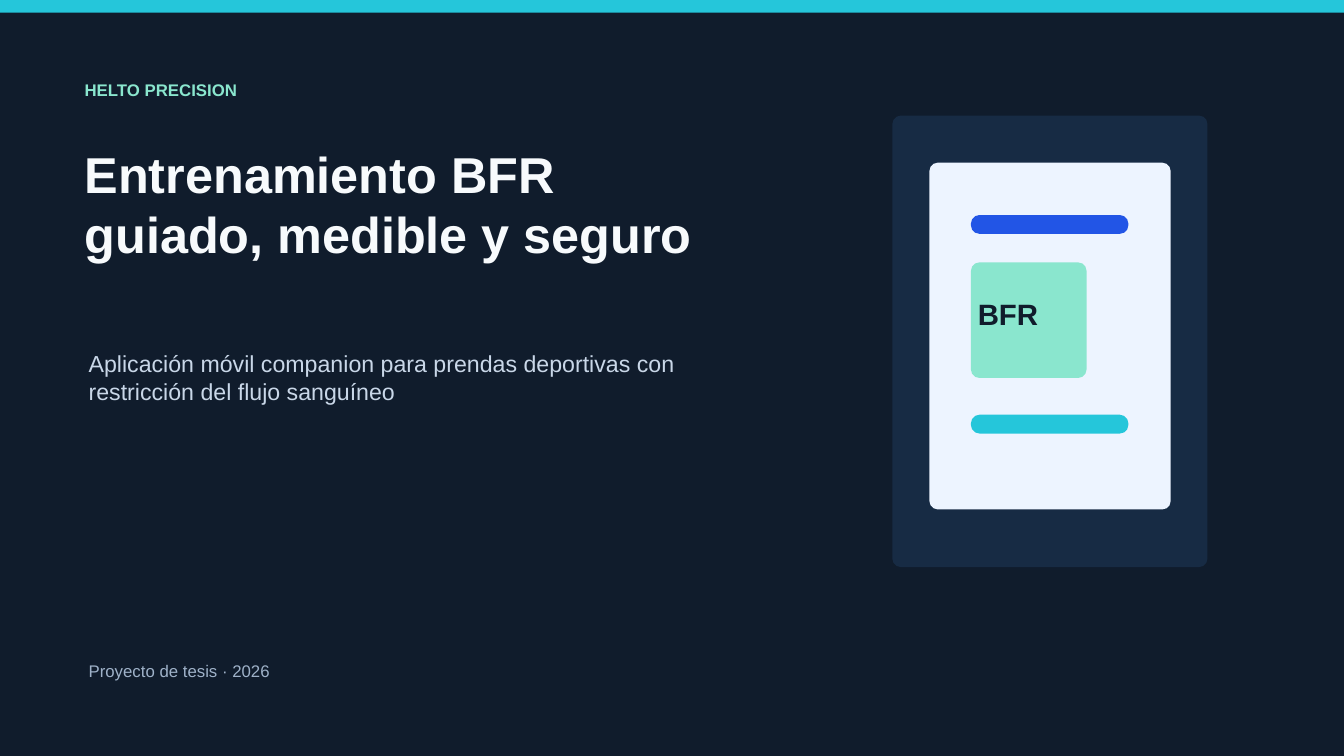
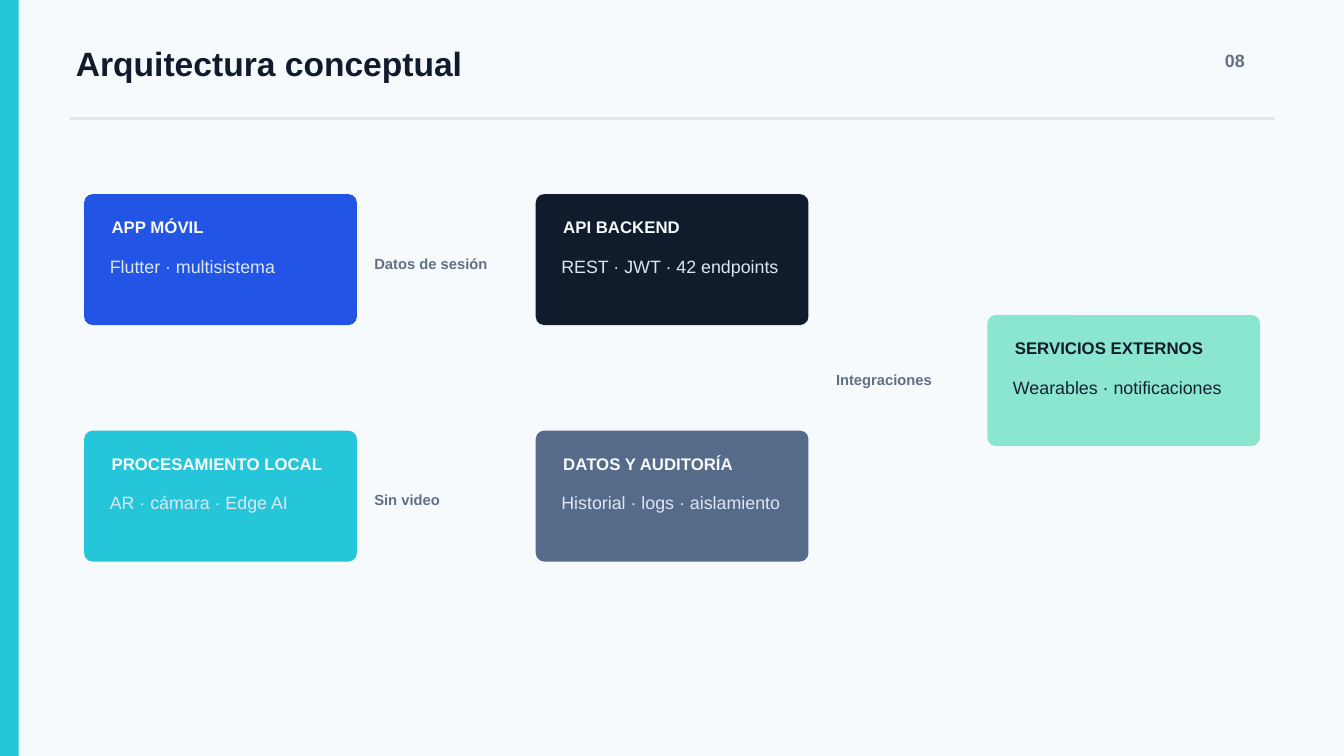
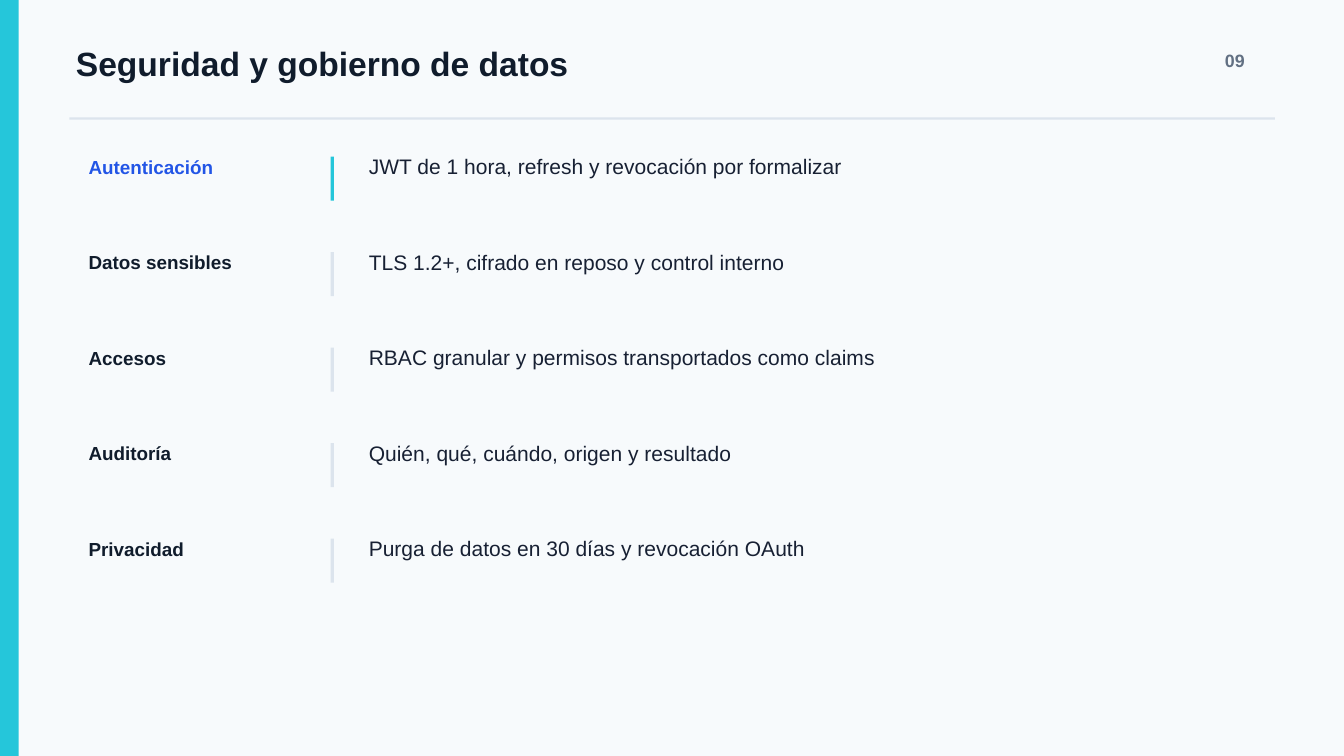
from dataclasses import dataclass

import pptx
import pptx.dml.color
import pptx.enum.shapes
import pptx.presentation
import pptx.shapes.autoshape
import pptx.slide
import pptx.util

Cm = pptx.util.Cm
RGBColor = pptx.dml.color.RGBColor
MSO_SHAPE = pptx.enum.shapes.MSO_SHAPE

NAVY = RGBColor(0x10, 0x1C, 0x2C)
PANEL = RGBColor(0x17, 0x2B, 0x44)
INK = RGBColor(0x17, 0x20, 0x33)
PAPER = RGBColor(0xF7, 0xFA, 0xFC)
SCREEN = RGBColor(0xED, 0xF4, 0xFF)
CYAN = RGBColor(0x25, 0xC6, 0xDA)
BLUE = RGBColor(0x22, 0x55, 0xE6)
MINT = RGBColor(0x8A, 0xE6, 0xCE)
SLATE = RGBColor(0x56, 0x6B, 0x89)
GREY = RGBColor(0x62, 0x70, 0x83)
RULE = RGBColor(0xDC, 0xE4, 0xED)
PALE = RGBColor(0xDC, 0xE7, 0xF4)
SUBTITLE = RGBColor(0xC9, 0xD7, 0xE8)
CREDIT = RGBColor(0x9F, 0xB2, 0xC9)

FONT = "Arial"
LEADING = 1.2
RADIUS = 0.32
WIDTH, HEIGHT = 50.8, 28.58
CARD_LEFT, CARD_STEP = 3.18, 17.07
CARD_W, CARD_H = 10.31, 4.95
ROW_TOP, ROW_STEP = 5.82, 3.61


@dataclass(frozen=True)
class Box:
    """A frame on the slide, in centimetres."""

    left: float
    top: float
    width: float
    height: float

    def emu(self) -> tuple[Cm, Cm, Cm, Cm]:
        """Return the frame as lengths."""
        return Cm(self.left), Cm(self.top), Cm(self.width), Cm(self.height)


@dataclass(frozen=True)
class Style:
    """Size, colour and weight of a text."""

    size: float
    color: RGBColor
    bold: bool = False


@dataclass(frozen=True)
class Card:
    """A component of the architecture, placed by column."""

    column: int
    top: float
    fill: RGBColor
    heading: str
    detail: str
    heading_color: RGBColor = PAPER
    detail_color: RGBColor = PALE


@dataclass(frozen=True)
class Flow:
    """A label for what passes between two components."""

    box: Box
    text: str


@dataclass(frozen=True)
class Policy:
    """A row of the security slide."""

    name: str
    detail: str
    name_color: RGBColor = NAVY
    bar_color: RGBColor = RULE


CARDS = (
    Card(0, 7.34, BLUE, "APP MÓVIL", "Flutter · multisistema"),
    Card(0, 16.28, CYAN, "PROCESAMIENTO LOCAL", "AR · cámara · Edge AI"),
    Card(1, 7.34, NAVY, "API BACKEND", "REST · JWT · 42 endpoints"),
    Card(1, 16.28, SLATE, "DATOS Y AUDITORÍA", "Historial · logs · aislamiento"),
    Card(2, 11.91, MINT, "SERVICIOS EXTERNOS", "Wearables · notificaciones", NAVY, INK),
)

FLOWS = (
    Flow(Box(14.15, 9.63, 5.44, 0.76), "Datos de sesión"),
    Flow(Box(14.15, 18.57, 5.44, 0.76), "Sin video"),
    Flow(Box(31.6, 14, 5.26, 0.76), "Integraciones"),
)

POLICIES = (
    Policy("Autenticación", "JWT de 1 hora, refresh y revocación por formalizar", BLUE, CYAN),
    Policy("Datos sensibles", "TLS 1.2+, cifrado en reposo y control interno"),
    Policy("Accesos", "RBAC granular y permisos transportados como claims"),
    Policy("Auditoría", "Quién, qué, cuándo, origen y resultado"),
    Policy("Privacidad", "Purga de datos en 30 días y revocación OAuth"),
)


def add_block(
    s: pptx.slide.Slide, box: Box, color: RGBColor, rounded: bool = False
) -> pptx.shapes.autoshape.Shape:
    """Draw a plain filled rectangle, with the shared corner radius if rounded."""
    kind = MSO_SHAPE.ROUNDED_RECTANGLE if rounded else MSO_SHAPE.RECTANGLE
    sp = s.shapes.add_shape(kind, *box.emu())
    if rounded:
        sp.adjustments[0] = RADIUS / min(box.width, box.height)
    sp.shadow.inherit = False
    sp.fill.solid()
    sp.fill.fore_color.rgb = color
    sp.line.fill.background()
    return sp


def add_text(s: pptx.slide.Slide, box: Box, text: str, style: Style) -> None:
    """Write text in a box without margins, one paragraph per line."""
    tf = s.shapes.add_textbox(*box.emu()).text_frame
    tf.word_wrap = True
    tf.margin_left = tf.margin_top = tf.margin_right = tf.margin_bottom = 0
    tf.text = text
    for p in tf.paragraphs:
        p.line_spacing = pptx.util.Pt(round(style.size * LEADING, 1))
        for r in p.runs:
            r.font.name = FONT
            r.font.size = pptx.util.Pt(style.size)
            r.font.bold = style.bold
            r.font.color.rgb = style.color


def add_slide(prs: pptx.presentation.Presentation, color: RGBColor) -> pptx.slide.Slide:
    """Add a blank slide with a solid background."""
    s = prs.slides.add_slide(prs.slide_layouts[6])
    s.background.fill.solid()
    s.background.fill.fore_color.rgb = color
    return s


def add_content_slide(
    prs: pptx.presentation.Presentation, title: str, number: str
) -> pptx.slide.Slide:
    """Add a light slide with side band, title, number and rule."""
    s = add_slide(prs, PAPER)
    add_block(s, Box(0, 0, 0.71, HEIGHT), CYAN)
    add_text(s, Box(2.87, 1.63, 42.37, 2.13), title, Style(36, NAVY, True))
    add_text(s, Box(46.3, 1.88, 1.88, 1.19), number, Style(19.1, GREY, True))
    add_block(s, Box(2.62, 4.44, 45.57, 0.08), RULE)
    return s


def build_cover(prs: pptx.presentation.Presentation) -> None:
    """Build the cover with its phone drawing."""
    s = add_slide(prs, NAVY)
    add_block(s, Box(0, 0, WIDTH, 0.48), CYAN)
    add_text(s, Box(3.2, 3.02, 16.15, 0.99), "HELTO PRECISION", Style(18, MINT, True))
    add_text(
        s,
        Box(3.2, 5.41, 28.07, 6.58),
        "Entrenamiento BFR\nguiado, medible y seguro",
        Style(54, PAPER, True),
    )
    add_text(
        s,
        Box(3.35, 13.21, 25.3, 2.72),
        "Aplicación móvil companion para prendas deportivas con restricción del flujo sanguíneo",
        Style(24.8, SUBTITLE),
    )
    phone = (
        (Box(33.73, 4.37, 11.91, 17.07), PANEL),
        (Box(35.13, 6.15, 9.12, 13.11), SCREEN),
        (Box(36.7, 8.13, 5.95, 0.71), BLUE),
        (Box(36.7, 9.92, 4.37, 4.37), MINT),
        (Box(36.7, 15.68, 5.95, 0.71), CYAN),
    )
    for box, color in phone:
        add_block(s, box, color, rounded=True)
    add_text(s, Box(36.96, 11.18, 3.86, 1.78), "BFR", Style(31.5, NAVY, True))
    add_text(s, Box(3.35, 24.99, 19.33, 0.99), "Proyecto de tesis · 2026", Style(18, CREDIT))


def build_architecture(prs: pptx.presentation.Presentation) -> None:
    """Build the component cards and the labels between them."""
    s = add_content_slide(prs, "Arquitectura conceptual", "08")
    for card in CARDS:
        left = CARD_LEFT + card.column * CARD_STEP
        add_block(s, Box(left, card.top, CARD_W, CARD_H), card.fill, rounded=True)
        add_text(
            s,
            Box(left + 1.04, card.top + 0.87, 8.23, 0.91),
            card.heading,
            Style(18, card.heading_color, True),
        )
        add_text(
            s,
            Box(left + 0.97, card.top + 2.32, 8.38, 1.68),
            card.detail,
            Style(19.1, card.detail_color),
        )
    for flow in FLOWS:
        add_text(s, flow.box, flow.text, Style(15.8, GREY, True))


def build_security(prs: pptx.presentation.Presentation) -> None:
    """Build the rows of security policies."""
    s = add_content_slide(prs, "Seguridad y gobierno de datos", "09")
    for i, policy in enumerate(POLICIES):
        top = ROW_TOP + i * ROW_STEP
        add_text(
            s,
            Box(3.35, top + 0.05, 8.61, 1.75),
            policy.name,
            Style(20.2, policy.name_color, True),
        )
        add_block(s, Box(12.5, top + 0.1, 0.12, 1.67), policy.bar_color)
        add_text(s, Box(13.94, top, 31.24, 1.85), policy.detail, Style(22.5, INK))


def main() -> None:
    """Build and save the presentation."""
    prs = pptx.Presentation()
    prs.slide_width, prs.slide_height = Cm(WIDTH), Cm(HEIGHT)
    build_cover(prs)
    build_architecture(prs)
    build_security(prs)
    prs.save("out.pptx")


if __name__ == "__main__":
    main()
